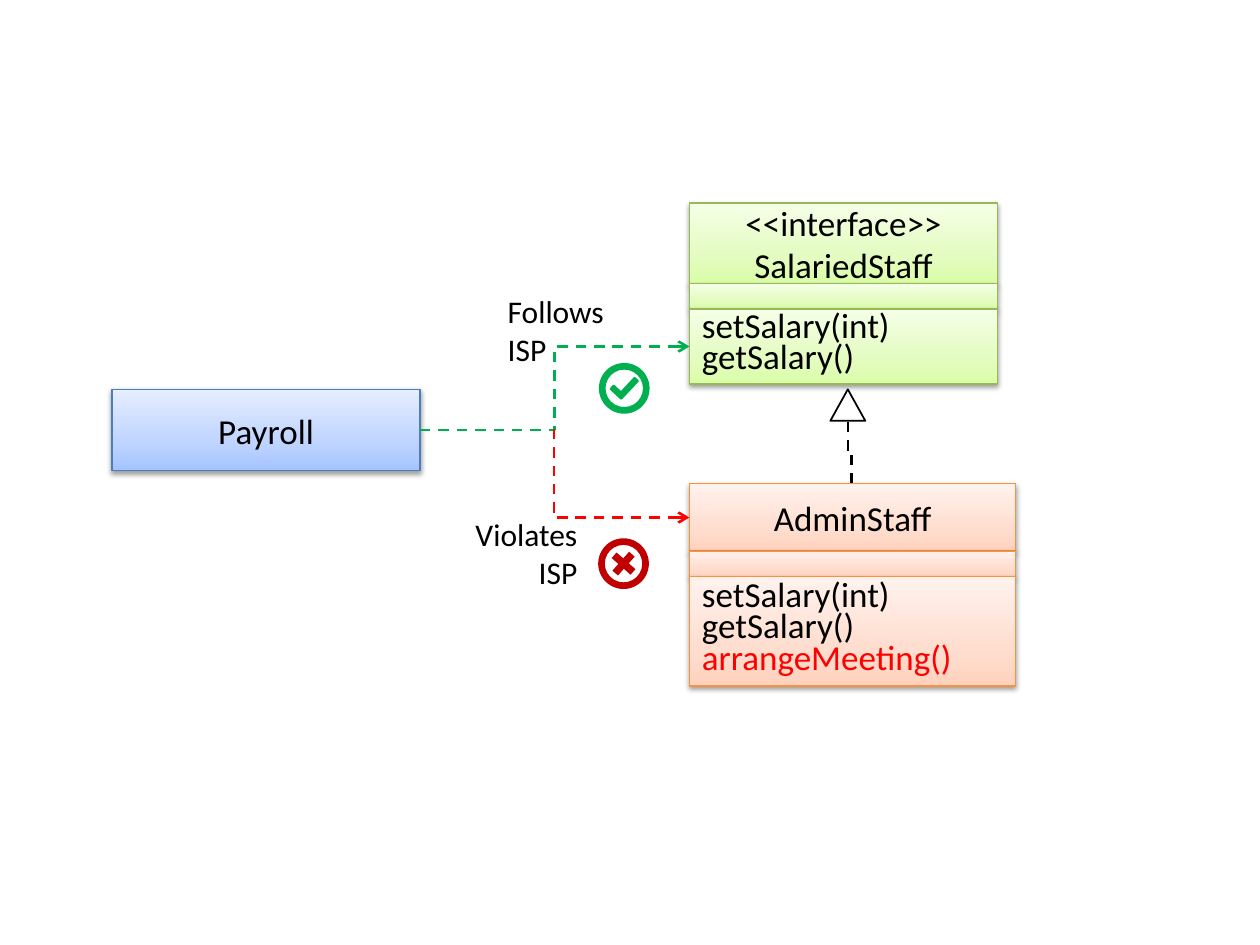
from dataclasses import dataclass

from lxml.etree import SubElement
from pptx import Presentation
from pptx.dml.color import RGBColor
from pptx.enum.dml import MSO_LINE as Dash
from pptx.enum.shapes import MSO_CONNECTOR as Conn, MSO_SHAPE as Kind
from pptx.enum.text import MSO_ANCHOR as Anchor, MSO_AUTO_SIZE as Fit, PP_ALIGN as Align
from pptx.oxml import parse_xml
from pptx.oxml.ns import nsdecls, qn
from pptx.util import Pt

BLACK = RGBColor(0x00, 0x00, 0x00)
WHITE = RGBColor(0xFF, 0xFF, 0xFF)
RED = RGBColor(0xFF, 0x00, 0x00)
DARK_RED = RGBColor(0xC0, 0x00, 0x00)
GREEN = RGBColor(0x00, 0xB0, 0x50)
FONT = "Calibri"


@dataclass
class Theme:
    edge: RGBColor
    stops: tuple[RGBColor, RGBColor, RGBColor]  # bottom to top


@dataclass
class Row:
    height: float
    lines: tuple[str, ...] = ()
    listed: bool = False


@dataclass
class Box:
    left: float
    top: float
    width: float
    theme: Theme
    rows: tuple[Row, ...]


@dataclass
class Label:
    left: float
    top: float
    text: str
    align: Align


BLUE_SET = Theme(RGBColor(0x4B, 0x7E, 0xBC), (
    RGBColor(0xA4, 0xC4, 0xFF), RGBColor(0xBF, 0xD4, 0xFF), RGBColor(0xE6, 0xEE, 0xFF)))
LIME_SET = Theme(RGBColor(0x98, 0xB9, 0x55), (
    RGBColor(0xDA, 0xFD, 0xA7), RGBColor(0xE4, 0xFC, 0xC2), RGBColor(0xF5, 0xFF, 0xE7)))
PEACH_SET = Theme(RGBColor(0xF6, 0x92, 0x40), (
    RGBColor(0xFF, 0xD2, 0xBD), RGBColor(0xFF, 0xDE, 0xD0), RGBColor(0xFF, 0xF2, 0xED)))

SALARIED = Box(394, 116, 176, LIME_SET, (
    Row(46, ("<<interface>>", "SalariedStaff")),
    Row(14.5),
    Row(43, ("setSalary(int)", "getSalary()"), True)))
ADMIN = Box(394, 276.5, 186.5, PEACH_SET, (
    Row(38.5, ("AdminStaff",)),
    Row(14.5),
    Row(62.5, ("setSalary(int)", "getSalary()", "arrangeMeeting()"), True)))
PAYROLL = Box(64, 222.5, 176, BLUE_SET, (Row(46.5, ("Payroll",)),))

LABELS = (Label(283, 163.5, "Follows ISP", Align.LEFT),
          Label(255.5, 291, "Violates ISP", Align.RIGHT))

ICON = 29
# Tick outline before turning, in tenths of a point
TICK = ((63, 0), (88, 0), (94, 6), (94, 145), (88, 151), (6, 151),
        (0, 145), (0, 120), (6, 114), (57, 114), (57, 6))


def add_run(para, text: str, size: float, color: RGBColor = BLACK) -> None:
    run = para.add_run()
    run.text = text
    run.font.name, run.font.size = FONT, Pt(size)
    run.font.color.rgb = color


def shade(shape, theme: Theme) -> None:
    """Give a shape the three-stop gradient, edge and soft shadow of a theme."""
    stops = "".join(f'<a:gs pos="{pos}"><a:srgbClr val="{color}"/></a:gs>'
                    for pos, color in zip((0, 35000, 100000), theme.stops))
    shape.fill.background()
    props = shape._element.spPr
    props.replace(props.find(qn("a:noFill")), parse_xml(
        f'<a:gradFill {nsdecls("a")} rotWithShape="1"><a:gsLst>{stops}</a:gsLst>'
        '<a:lin ang="16200000" scaled="0"/></a:gradFill>'))
    shape.line.color.rgb, shape.line.width = theme.edge, Pt(0.75)
    props.append(parse_xml(
        f'<a:effectLst {nsdecls("a")}><a:outerShdw blurRad="{Pt(3.1)}" dist="{Pt(1.6)}" '
        'dir="5400000" rotWithShape="0"><a:srgbClr val="000000"><a:alpha val="38000"/>'
        '</a:srgbClr></a:outerShdw></a:effectLst>'))


def draw_box(shapes, box: Box) -> list:
    """Stack the rows of a class box downwards and return their shapes."""
    rects, top = [], box.top
    for row in box.rows:
        rect = shapes.add_shape(Kind.RECTANGLE, Pt(box.left), Pt(top),
                                Pt(box.width), Pt(row.height))
        shade(rect, box.theme)
        frame = rect.text_frame
        frame.vertical_anchor = Anchor.MIDDLE
        for i, line in enumerate(row.lines):
            para = frame.add_paragraph() if i else frame.paragraphs[0]
            para.alignment = Align.LEFT if row.listed else Align.CENTER
            if row.listed:
                para.line_spacing = 0.6
                if i:
                    para.space_before = Pt(3.7)
            add_run(para, line, 20, RED if line == "arrangeMeeting()" else BLACK)
        rects.append(rect)
        top += row.height
    return rects


def draw_link(shapes, start: tuple, end: tuple, color: RGBColor,
              arrow: bool = False, bend: float = 0.5):
    """Draw a dashed elbow; the arrowhead sits at the start."""
    link = shapes.add_connector(Conn.ELBOW, *map(Pt, start + end))
    link.line.color.rgb, link.line.width = color, Pt(1.5)
    link.line.dash_style = Dash.DASH
    props = link._element.spPr
    if arrow:
        SubElement(props.find(qn("a:ln")), qn("a:headEnd"), type="arrow")
    SubElement(props, qn("a:effectLst"))
    guides = props.find(qn("a:prstGeom")).get_or_add_avLst()
    SubElement(guides, qn("a:gd"), name="adj1", fmla=f"val {round(bend * 100000)}")
    return link


def paint(shape, color: RGBColor) -> None:
    shape.shadow.inherit = False
    shape.fill.solid()
    shape.fill.fore_color.rgb = color
    shape.line.fill.background()


def draw_ring(shapes, left: float, top: float, color: RGBColor):
    """Draw a white disc with a ring on it, and return their group."""
    group = shapes.add_group_shape()
    for kind, fill in ((Kind.FLOWCHART_CONNECTOR, WHITE), (Kind.DONUT, color)):
        disc = group.shapes.add_shape(kind, Pt(left), Pt(top), Pt(ICON), Pt(ICON))
        paint(disc, fill)
    disc.adjustments[0] = 0.131
    return group


def draw_label(shapes, label: Label) -> None:
    frame = shapes.add_textbox(Pt(label.left), Pt(label.top), Pt(81.5), Pt(48)).text_frame
    frame.word_wrap, frame.auto_size = True, Fit.SHAPE_TO_FIT_TEXT
    frame.paragraphs[0].alignment = label.align
    add_run(frame.paragraphs[0], label.text, 18)


def main() -> None:
    deck = Presentation()
    deck.slide_width, deck.slide_height = Pt(720), Pt(540)
    shapes = deck.slides.add_slide(deck.slide_layouts[6]).shapes

    # Hollow arrowhead and its dashed stem
    tip = shapes.add_shape(Kind.FLOWCHART_EXTRACT, Pt(474.5), Pt(222.5), Pt(20), Pt(18))
    paint(tip, WHITE)
    tip.line.color.rgb, tip.line.width = BLACK, Pt(1)
    stem = draw_link(shapes, (467.6, 259.6), (503.6, 257.4), BLACK)
    stem._element.spPr.find(qn("a:xfrm")).set("rot", "16200000")

    # Class boxes
    admin = draw_box(shapes, ADMIN)
    salaried = draw_box(shapes, SALARIED)
    payroll = draw_box(shapes, PAYROLL)

    # Links from the payroll box
    good = draw_link(shapes, (394, 198), (240, 245.75), GREEN, arrow=True)
    good.begin_connect(salaried[2], 1)
    good.end_connect(payroll[0], 3)
    bad = draw_link(shapes, (394, 295.75), (317, 245.75), RED, arrow=True, bend=1.006)
    bad.begin_connect(admin[0], 1)

    # Tick icon
    group = draw_ring(shapes, 342.2, 207.4, GREEN)
    pen = group.shapes.build_freeform(*TICK[0], scale=Pt(0.1))
    pen.add_line_segments(TICK[1:], close=True)
    tick = pen.convert_to_shape(Pt(352), Pt(212.4))
    paint(tick, GREEN)
    tick.rotation = 43.1

    # Cross icon
    group = draw_ring(shapes, 341.8, 307.6, DARK_RED)
    cross = group.shapes.add_shape(Kind.CROSS, Pt(349.1), Pt(314.9), Pt(14.4), Pt(14.4))
    paint(cross, DARK_RED)
    cross.adjustments[0] = 0.354
    cross.rotation = 41.5

    # Link labels
    for label in LABELS:
        draw_label(shapes, label)

    deck.save("out.pptx")


if __name__ == "__main__":
    main()
